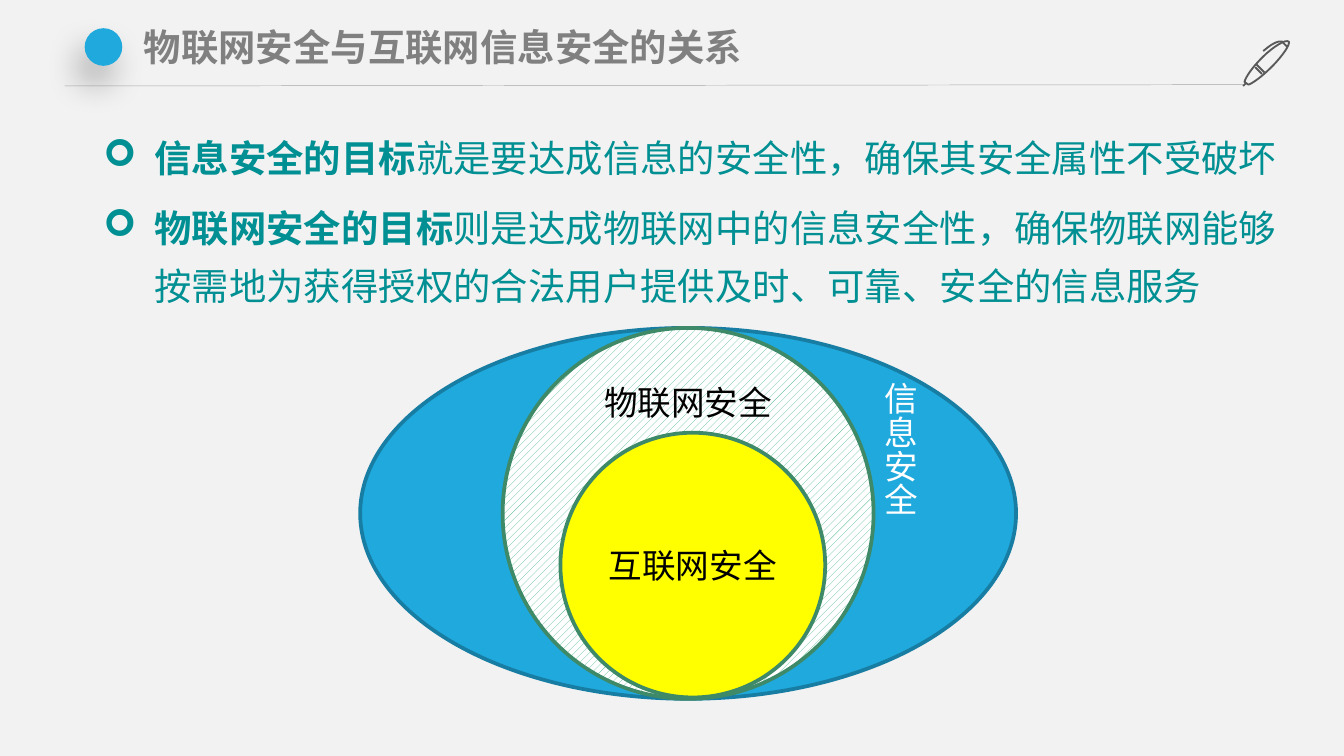
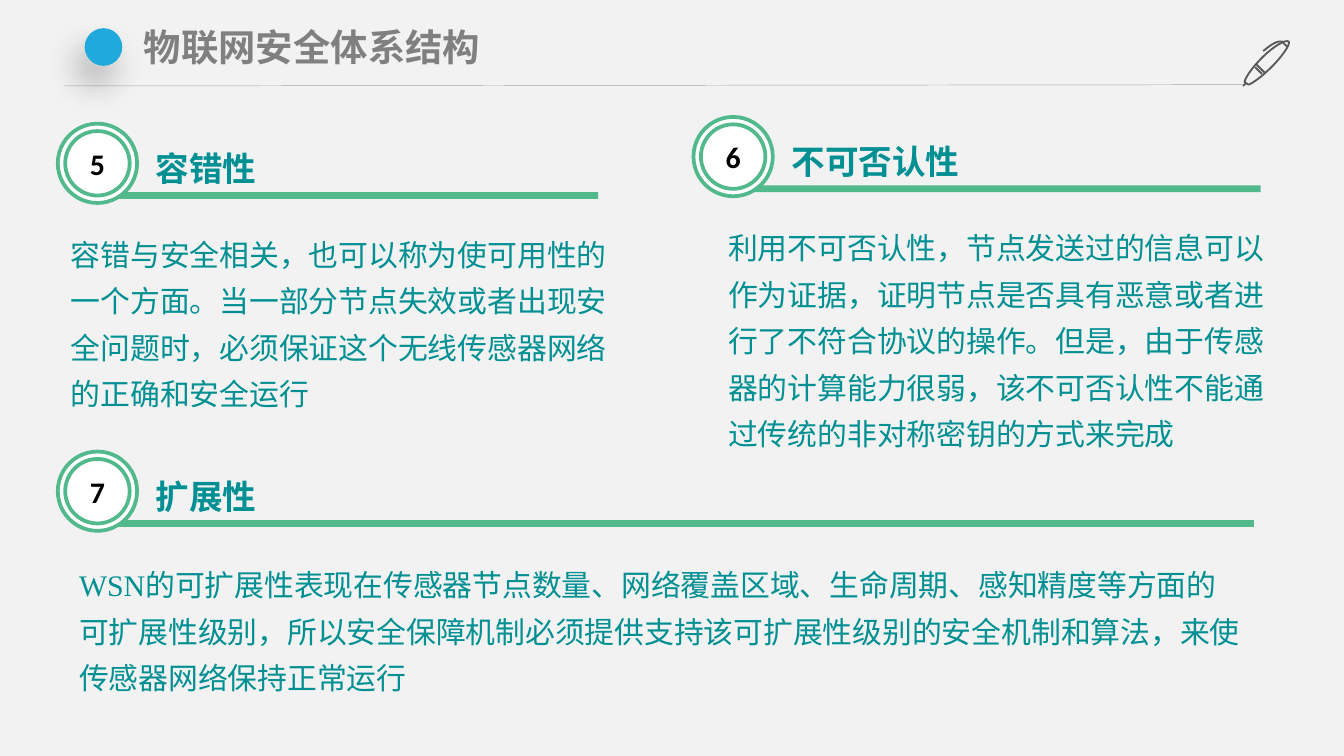
from dataclasses import dataclass
from typing import NamedTuple

from lxml import etree
from pptx import Presentation
from pptx.dml.color import RGBColor
from pptx.enum.dml import MSO_PATTERN
from pptx.enum.shapes import MSO_CONNECTOR, MSO_SHAPE
from pptx.enum.text import MSO_ANCHOR, MSO_AUTO_SIZE, PP_ALIGN
from pptx.oxml import parse_xml
from pptx.oxml.ns import nsdecls, qn
from pptx.util import Inches, Pt

COLORS = {
    "background": "F2F2F2", "rule": "A6A6A6", "pen": "595959",
    "blue": "20A9DD", "blue_edge": "187DA3",
    "green": "52B98C", "green_edge": "3D8968",
    "teal": "008F92", "title": "808080",
    "yellow": "FFFF00", "white": "FFFFFF", "black": "000000",
}
SANS, SERIF, NUMERAL = "Noto Sans CJK SC", "Times New Roman", "Calibri"
NO_INSETS = dict.fromkeys(("margin_left", "margin_top", "margin_right", "margin_bottom"), 0)
TITLE_INSETS = {"margin_left": Inches(0.09), "margin_right": Inches(0.09),
                "margin_top": Inches(0.04), "margin_bottom": Inches(0.04)}
BODY_PARAGRAPH = {"line_spacing": 1.3, "space_after": Pt(3)}


class Box(NamedTuple):
    left: float
    top: float
    width: float
    height: float

    def emu(self) -> list:
        return [Inches(v) for v in self]


class Style(NamedTuple):
    size: float
    font: str
    color: str
    bold: bool = False


@dataclass
class Oval:
    label: str
    box: Box
    fill: str
    edge: str
    text_color: str = "black"
    anchor: MSO_ANCHOR = MSO_ANCHOR.TOP
    alignment: PP_ALIGN = PP_ALIGN.CENTER
    vertical: bool = False
    hatched: bool = False


@dataclass
class Topic:
    number: int
    heading: str
    left: float
    top: float
    bar_width: float
    body_box: Box
    body: str


TITLE = Style(20, SANS, "title", True)
HEADING = Style(18, SANS, "teal", True)
BODY = Style(16, SERIF, "teal")
BADGE = Style(16, NUMERAL, "black", True)
GOAL = Style(20, SERIF, "teal")

# Each stroke is two points, or a start point followed by cubic Bézier triples.
PEN_STROKES = [
    [(9.39, 0.55), (9.34, 0.5)],
    [(9.35, 0.48), (9.41, 0.54)],
    [(9.59, 0.31), (9.57, 0.29), (9.48, 0.34), (9.39, 0.43),
     (9.32, 0.5), (9.27, 0.57), (9.26, 0.61),
     (9.29, 0.63), (9.29, 0.63), (9.29, 0.63),
     (9.32, 0.62), (9.39, 0.57), (9.46, 0.5),
     (9.55, 0.41), (9.6, 0.33), (9.59, 0.31)],
    [(9.27, 0.62), (9.25, 0.64)],
    [(9.58, 0.35), (9.58, 0.35), (9.56, 0.33), (9.54, 0.31),
     (9.54, 0.31), (9.5, 0.29), (9.4, 0.38)],
]

GOALS = [
    ("信息安全的目标", "就是要达成信息的安全性，确保其安全属性不受破坏"),
    ("物联网安全的目标", "则是达成物联网中的信息安全性，确保物联网能够按需地为获得授权的"
     "合法用户提供及时、可靠、安全的信息服务"),
]
OVALS = [
    Oval("信息安全", Box(2.68, 2.44, 4.88, 2.76), "blue", "blue_edge", "white",
         alignment=PP_ALIGN.RIGHT, vertical=True),
    Oval("物联网安全", Box(3.74, 2.44, 2.76, 2.76), "green", "green_edge", hatched=True),
    Oval("互联网安全", Box(4.17, 3.22, 1.97, 1.97), "yellow", "green_edge",
         anchor=MSO_ANCHOR.MIDDLE),
]
TOPICS = [
    Topic(5, "容错性", 0.43, 0.92, 3.62, Box(0.43, 1.63, 4.33, 1.47),
          "容错与安全相关，也可以称为使可用性的一个方面。当一部分节点失效或者出现安全问题时，"
          "必须保证这个无线传感器网络的正确和安全运行"),
    Topic(6, "不可否认性", 5.16, 0.87, 3.82, Box(5.32, 1.58, 4.25, 1.82),
          "利用不可否认性，节点发送过的信息可以作为证据，证明节点是否具有恶意或者进行了不符合"
          "协议的操作。但是，由于传感器的计算能力很弱，该不可否认性不能通过传统的非对称密钥的"
          "方式来完成"),
    Topic(7, "扩展性", 0.43, 3.36, 8.5, Box(0.49, 4.09, 8.88, 1.53),
          "WSN的可扩展性表现在传感器节点数量、网络覆盖区域、生命周期、感知精度等方面的可扩展性"
          "级别，所以安全保障机制必须提供支持该可扩展性级别的安全机制和算法，来使传感器网络保持"
          "正常运行"),
]


def rgb(name: str) -> RGBColor:
    return RGBColor.from_string(COLORS[name])


def apply(target, values: dict) -> None:
    for name, value in values.items():
        setattr(target, name, value)


def add_run(p, text: str, style: Style) -> None:
    r = p.add_run()
    r.text = text
    r.font.color.rgb = rgb(style.color)
    apply(r.font, {"size": Pt(style.size), "bold": style.bold, "name": style.font})
    east_asian = etree.SubElement(r.font._element, qn("a:ea"))
    east_asian.set("typeface", SANS)


def add_text_box(s, box: Box, insets: dict | None = None):
    tf = s.shapes.add_textbox(*box.emu()).text_frame
    apply(tf, {"word_wrap": True, "auto_size": MSO_AUTO_SIZE.SHAPE_TO_FIT_TEXT, **(insets or {})})
    return tf


def add_text(s, box: Box, text: str, style: Style, paragraph: dict | None = None,
             insets: dict | None = None) -> None:
    p = add_text_box(s, box, insets).paragraphs[0]
    apply(p, paragraph or {})
    add_run(p, text, style)


def add_filled(shapes, kind: MSO_SHAPE, box: Box, fill: str, edge: str | None = None):
    sp = shapes.add_shape(kind, *box.emu())
    sp.shadow.inherit = False
    sp.fill.solid()
    sp.fill.fore_color.rgb = rgb(fill)
    if edge:
        sp.line.color.rgb = rgb(edge)
        sp.line.width = Pt(2)
    else:
        sp.line.fill.background()
    return sp


def sample_stroke(points: list) -> list:
    """Turn a stroke into polyline points after its start point."""
    if len(points) == 2:
        return points[1:]
    result = []
    for i in range(0, len(points) - 1, 3):
        curve = points[i:i + 4]
        for step in range(1, 9):
            t = step / 8
            weights = ((1 - t) ** 3, 3 * t * (1 - t) ** 2, 3 * t * t * (1 - t), t ** 3)
            result.append(tuple(sum(w * pt[axis] for w, pt in zip(weights, curve))
                                for axis in (0, 1)))
    return result


def draw_pen(s) -> None:
    def emu(point):
        return tuple(Inches(v) for v in point)

    builder = s.shapes.build_freeform(*emu(PEN_STROKES[0][0]))
    for i, stroke in enumerate(PEN_STROKES):
        if i:
            builder.move_to(*emu(stroke[0]))
        builder.add_line_segments([emu(pt) for pt in sample_stroke(stroke)],
                                  close=stroke[0] == stroke[-1])
    sp = builder.convert_to_shape()
    sp.shadow.inherit = False
    sp.fill.background()
    sp.line.color.rgb = rgb("pen")
    sp.line.width = Pt(1)


def add_soft_shadow(sp) -> None:
    effects = sp._element.spPr.find(qn("a:effectLst"))
    effects.append(parse_xml(
        f'<a:outerShdw {nsdecls("a")} blurRad="{Pt(18)}" dist="{Pt(11)}" dir="{113 * 60000}" '
        f'algn="ctr" rotWithShape="0"><a:srgbClr val="{COLORS["black"]}">'
        '<a:alpha val="27000"/></a:srgbClr></a:outerShdw>'))


def add_titled_slide(prs, title: str):
    s = prs.slides.add_slide(prs.slide_layouts[6])
    s.background.fill.solid()
    s.background.fill.fore_color.rgb = rgb("background")
    rule = s.shapes.add_connector(MSO_CONNECTOR.STRAIGHT, Inches(0.48), Inches(0.64),
                                  Inches(9.25), Inches(0.63))
    rule.line.color.rgb = rgb("rule")
    rule.line.width = Pt(0.25)
    etree.SubElement(rule._element.spPr, qn("a:effectLst"))
    draw_pen(s)
    add_soft_shadow(add_filled(s.shapes, MSO_SHAPE.OVAL, Box(0.63, 0.21, 0.28, 0.28), "blue"))
    add_text(s, Box(0.98, 0.14, 8.27, 0.43), title, TITLE, insets=TITLE_INSETS)
    return s


def add_goals(s) -> None:
    tf = add_text_box(s, Box(0.67, 0.86, 8.98, 1.45))
    for i, (lead, rest) in enumerate(GOALS):
        p = tf.add_paragraph() if i else tf.paragraphs[0]
        pPr = p._p.get_or_add_pPr()
        pPr.set("marL", str(Inches(0.38)))
        pPr.set("indent", str(-Inches(0.38)))
        etree.SubElement(pPr, qn("a:buFont")).set("typeface", "Wingdings")
        etree.SubElement(pPr, qn("a:buChar")).set("char", "➢")
        apply(p, BODY_PARAGRAPH)
        if i:
            p.space_before = Pt(3)
        add_run(p, lead, GOAL._replace(bold=True))
        add_run(p, rest, GOAL)


def add_oval(s, oval: Oval) -> None:
    sp = add_filled(s.shapes, MSO_SHAPE.OVAL, oval.box, oval.fill, oval.edge)
    if oval.hatched:
        sp.fill.patterned()
        sp.fill.pattern = MSO_PATTERN.WIDE_UPWARD_DIAGONAL
        sp.fill.fore_color.rgb = rgb(oval.fill)
        sp.fill.back_color.rgb = rgb("white")
    tf = sp.text_frame
    apply(tf, {"word_wrap": True, "vertical_anchor": oval.anchor, **NO_INSETS})
    if oval.vertical:
        tf._txBody.bodyPr.set("vert", "eaVert")
    p = tf.paragraphs[0]
    p.alignment = oval.alignment
    add_run(p, oval.label, Style(18, SANS, oval.text_color))


def add_badge(s, number: int, left: float, top: float) -> None:
    outer, inner = 0.59, 0.48
    gap = (outer - inner) / 2
    shapes = s.shapes.add_group_shape().shapes
    add_filled(shapes, MSO_SHAPE.OVAL, Box(left, top, outer, outer), "white", "green")
    sp = add_filled(shapes, MSO_SHAPE.OVAL, Box(left + gap, top + gap, inner, inner),
                    "white", "green")
    sp.text_frame.vertical_anchor = MSO_ANCHOR.MIDDLE
    p = sp.text_frame.paragraphs[0]
    p.alignment = PP_ALIGN.CENTER
    add_run(p, str(number), BADGE)


def add_topic(s, topic: Topic) -> None:
    left, top = topic.left, topic.top
    add_filled(s.shapes, MSO_SHAPE.RECTANGLE,
               Box(left + 0.4, top + 0.51, topic.bar_width, 0.05), "green")
    add_badge(s, topic.number, left, top)
    add_text(s, Box(left + 0.63, top + 0.04, 2.05, 0.46), topic.heading, HEADING, BODY_PARAGRAPH)
    add_text(s, topic.body_box, topic.body, BODY, BODY_PARAGRAPH)


def main() -> None:
    prs = Presentation()
    prs.slide_width = Inches(10)
    prs.slide_height = prs.slide_width * 9 // 16

    s = add_titled_slide(prs, "物联网安全与互联网信息安全的关系")
    add_goals(s)
    for oval in OVALS:
        add_oval(s, oval)

    s = add_titled_slide(prs, "物联网安全体系结构")
    for topic in TOPICS:
        add_topic(s, topic)

    prs.save("out.pptx")


if __name__ == "__main__":
    main()
